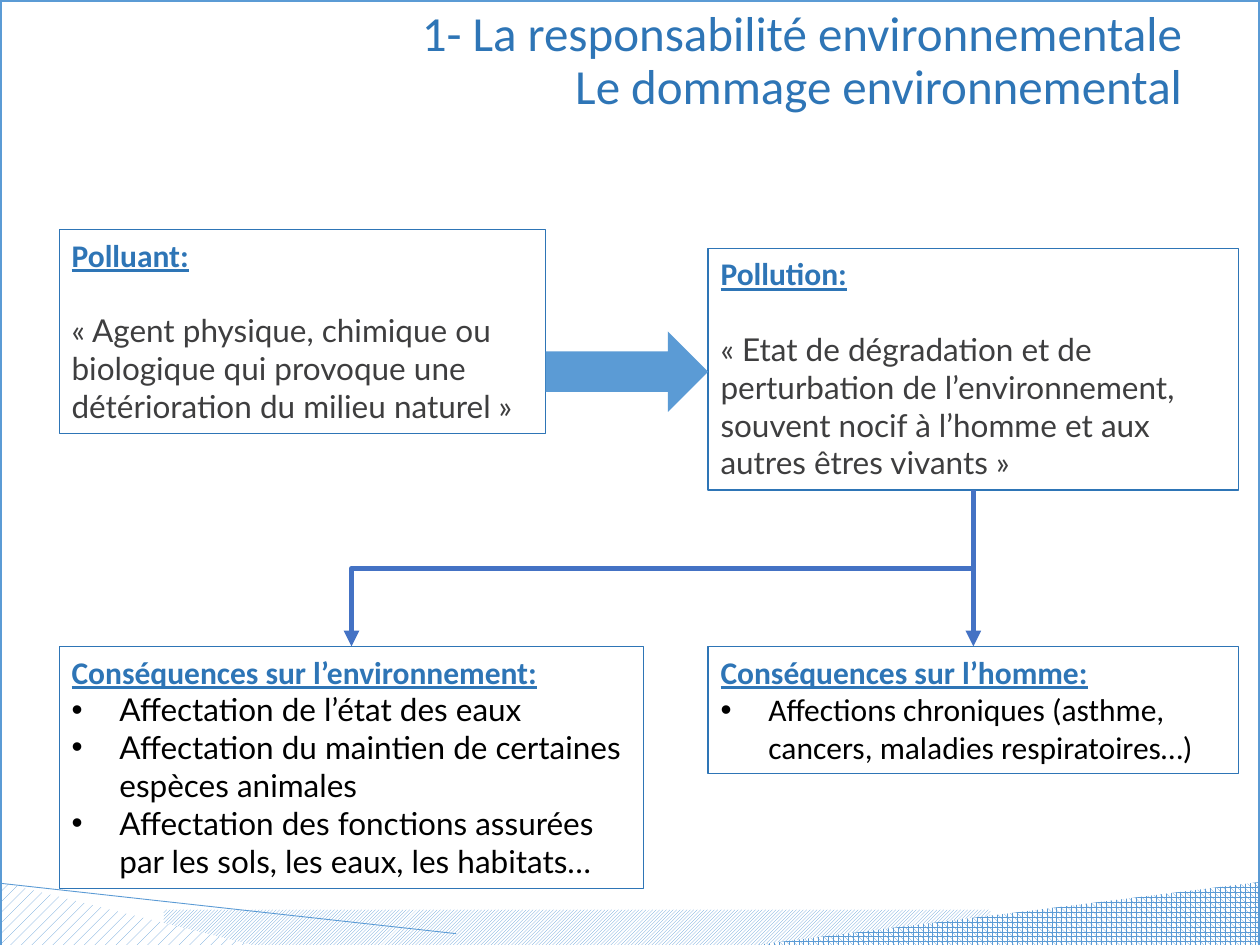
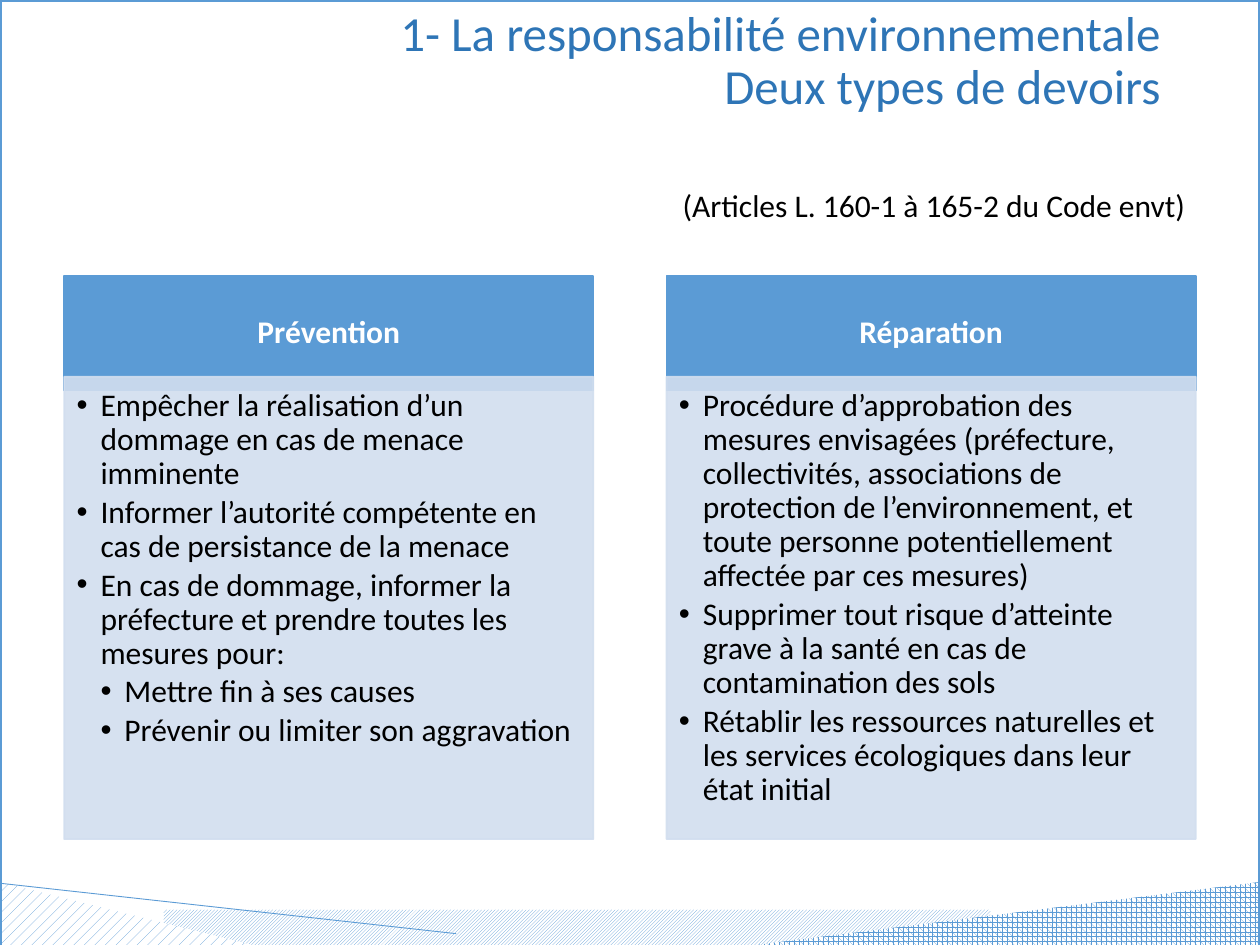
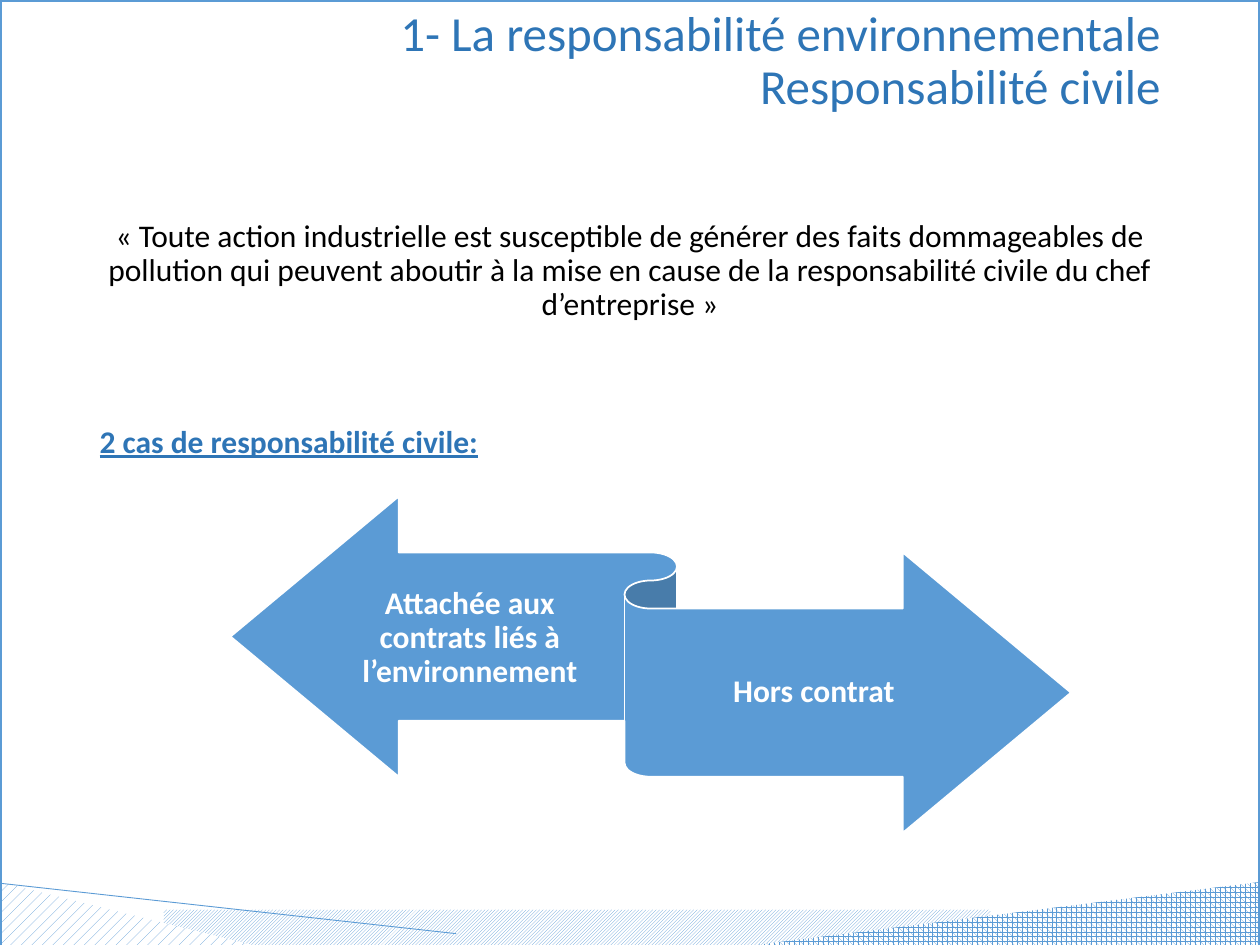
from copy import deepcopy
from lxml.etree import SubElement
from pptx import Presentation
from pptx.dml.color import RGBColor
from pptx.enum.dml import MSO_PATTERN
from pptx.enum.shapes import MSO_CONNECTOR, MSO_SHAPE
from pptx.enum.text import MSO_ANCHOR, MSO_AUTO_SIZE, PP_ALIGN
from pptx.oxml.ns import qn
from pptx.util import Inches, Pt

SKY = RGBColor(0x5B, 0x9B, 0xD5)
BLUE = RGBColor(0x2E, 0x75, 0xB6)
ROYAL = RGBColor(0x44, 0x72, 0xC4)
PALE = RGBColor(0xD2, 0xDE, 0xEF)
GREY = RGBColor(0x3E, 0x3E, 0x3F)
BLACK = RGBColor(0, 0, 0)
WHITE = RGBColor(255, 255, 255)

THEME = "1- La responsabilité environnementale"
HEAD = dict(color=BLUE, bold=True, under=True)
QUOTE = dict(color=GREY, face="Lato", before=21.6)
ITEM = dict(face="Lato", left=0.38, hang=0.38, bullet=True)
DUTY = dict(left=0.19, hang=0.19, bullet=True)
STEP = dict(left=0.38, hang=0.19, bullet=True)

BOXES = {
    "agent": ((0.47, 1.82, 3.86, 1.62), None, [
        ("Polluant:", HEAD),
        ("«\u00a0Agent physique, chimique ou biologique qui provoque une "
         "détérioration du milieu naturel\u00a0»", QUOTE)]),
    "state": ((5.62, 1.97, 4.21, 1.92), None, [
        ("Pollution:", HEAD),
        ("«\u00a0Etat de dégradation et de perturbation de l’environnement, "
         "souvent nocif à l’homme et aux autres êtres vivants »", QUOTE)]),
    "human": ((5.62, 5.13, 4.21, 1.01), None, [
        ("Conséquences sur l’homme:", HEAD),
        ("Affections chroniques (asthme, cancers, maladies respiratoires…)",
         dict(ITEM, face="Calibri"))]),
    "nature": ((0.47, 5.13, 4.64, 1.92), WHITE, [
        ("Conséquences sur l’environnement:", HEAD),
        ("Affectation de l’état des eaux", ITEM),
        ("Affectation du maintien de certaines espèces animales", ITEM),
        ("Affectation des fonctions assurées par les sols, les eaux, "
         "les habitats…", ITEM)]),
}

DUTIES = [
    ("Prévention", [
        ("Empêcher la réalisation d’un dommage en cas de menace imminente", DUTY),
        ("Informer l’autorité compétente en cas de persistance de la menace", DUTY),
        ("En cas de dommage, informer la préfecture et prendre toutes les "
         "mesures pour:", DUTY),
        ("Mettre fin à ses causes", STEP),
        ("Prévenir ou limiter son aggravation", STEP)]),
    ("Réparation", [
        ("Procédure d’approbation des mesures envisagées (préfecture, "
         "collectivités, associations de protection de l’environnement, et toute "
         "personne potentiellement affectée par ces mesures)", DUTY),
        ("Supprimer tout risque d’atteinte grave à la santé en cas de "
         "contamination des sols", DUTY),
        ("Rétablir les ressources naturelles et les services écologiques dans "
         "leur état initial", DUTY)]),
]

CLAIM = [
    ("«\u00a0Toute action industrielle est susceptible de générer des faits "
     "dommageables de pollution qui peuvent aboutir à la mise en cause de la "
     "responsabilité civile du chef d’entreprise\u00a0»",
     dict(align=PP_ALIGN.CENTER)),
    ("2 cas de responsabilité civile:", dict(HEAD, before=59)),
]
CASES = [
    ("Attachée aux contrats liés à l’environnement", (2.63, 4.41, 2.2, 1.31)),
    ("Hors contrat", (5.16, 4.84, 2.6, 1.31)),
]

STRIP = (1.3, 7.22, 6.56, 0.32)
WEDGES = [
    ([(0, 7.01), (4.37, 7.5), (4.28, 7.52), (0, 7.52)], MSO_PATTERN.PERCENT_20),
    ([(2.27, 7.51), (9.99, 7.01), (10, 7.52), (2.19, 7.52)], MSO_PATTERN.SPHERE),
]


def style(par, size=18, face="Calibri", color=BLACK, bold=False, under=False,
          align=PP_ALIGN.LEFT, gap=1.0, before=0, after=0, left=0, hang=0,
          bullet=False):
    par.alignment, par.line_spacing = align, gap
    par.space_before, par.space_after = Pt(before), Pt(after)
    props = par._p.get_or_add_pPr()
    props.set("marL", str(Inches(left)))
    props.set("indent", str(-Inches(hang)))
    if bullet:
        SubElement(props, qn("a:buFont")).set("typeface", "Arial")
        SubElement(props, qn("a:buChar")).set("char", "•")
    else:
        SubElement(props, qn("a:buNone"))
    for run in par.runs:
        font = run.font
        font.size, font.name, font.bold, font.underline = Pt(size), face, bold, under
        font.color.rgb = color
    for stop in par._p.findall(qn("a:br")):
        stop.insert(0, deepcopy(par.runs[0]._r.rPr))


def write(shape, text, anchor=MSO_ANCHOR.TOP, pads=(0.1, 0.05, 0.1, 0.05), **look):
    frame = shape.text_frame
    frame.word_wrap, frame.auto_size = True, MSO_AUTO_SIZE.NONE
    frame.vertical_anchor = anchor
    (frame.margin_left, frame.margin_top,
     frame.margin_right, frame.margin_bottom) = map(Inches, pads)
    parts = [(text, {})] if isinstance(text, str) else text
    for num, (words, own) in enumerate(parts):
        par = frame.add_paragraph() if num else frame.paragraphs[0]
        par.text = words
        style(par, **{**look, **own})


def paint(shape, fill=None, line=None, width=1, alpha=None):
    shape.shadow.inherit = False
    for ink, color in ((shape.fill, fill), (shape.line.fill, line)):
        if color is None:
            ink.background()
        else:
            ink.solid()
            ink.fore_color.rgb = color
    if line is not None:
        shape.line.width = Pt(width)
    if alpha:
        for tone in shape._element.spPr.iter(qn("a:srgbClr")):
            SubElement(tone, qn("a:alpha")).set("val", str(alpha * 1000))
    return shape


def draw(slide, kind, place, **look):
    return paint(slide.shapes.add_shape(kind, *map(Inches, place)), **look)


def label(slide, place, text, **look):
    write(slide.shapes.add_textbox(*map(Inches, place)), text, **look)


def hatch(shape, kind):
    paint(shape)
    fill = shape.fill
    fill.patterned()
    fill.pattern = kind
    fill.fore_color.rgb, fill.back_color.rgb = SKY, WHITE


def link(slide, kind, ends, color, width, head=False):
    line = slide.shapes.add_connector(kind, *map(Inches, ends))
    line.line.color.rgb, line.line.width = color, Pt(width)
    if head:
        SubElement(line.line._get_or_add_ln(), qn("a:tailEnd")).set("type", "triangle")
    SubElement(line._element.spPr, qn("a:effectLst"))
    return line


def put(shape, place):
    shape.left, shape.top, shape.width, shape.height = map(Inches, place)


def start(deck, layout, title, width=8.62, height=1.16):
    slide = deck.slides.add_slide(deck.slide_layouts[layout])
    put(slide.shapes.title, (0.69, 0.02, width, height))
    write(slide.shapes.title, f"{THEME}\v{title}", size=28, color=BLUE,
          align=PP_ALIGN.RIGHT, gap=0.9)
    return slide


def decor(deck, slide):
    shapes = slide.shapes
    first = len(shapes)
    hatch(draw(slide, MSO_SHAPE.RECTANGLE, STRIP), MSO_PATTERN.LIGHT_UPWARD_DIAGONAL)
    for dots, kind in WEDGES:
        pen = shapes.build_freeform(*dots[0], scale=Inches(1))
        pen.add_line_segments(dots[1:])
        hatch(pen.convert_to_shape(), kind)
    link(slide, MSO_CONNECTOR.STRAIGHT, (0, 7.01, 3.62, 7.41), SKY, 0.5)
    draw(slide, MSO_SHAPE.RECTANGLE, (0, 0, 10, 7.52), line=SKY, width=2.25)
    tree = deck.slide_master.shapes.element
    for num, shape in enumerate(list(shapes)[first:]):
        node = shape._element
        node.xpath(".//p:cNvPr")[0].set("id", str(20 + num))
        tree.insert(2 + num, node)


def damage(deck):
    slide = start(deck, 5, "Le dommage environnemental", 8.79, 1.23)
    decor(deck, slide)
    made = {}
    for name, (place, fill, text) in BOXES.items():
        made[name] = draw(slide, MSO_SHAPE.RECTANGLE, place, fill=fill,
                          line=BLUE, width=0.75)
        write(made[name], text)
    draw(slide, MSO_SHAPE.RIGHT_ARROW, (4.33, 2.63, 1.29, 0.64), fill=SKY)

    x, y, w, h = BOXES["state"][0]
    mid, low = x + w / 2, y + h
    x, goal, w, h = BOXES["nature"][0]
    side = x + w / 2
    down = link(slide, MSO_CONNECTOR.STRAIGHT, (mid, low, mid, goal), ROYAL, 3, True)
    down.begin_connect(made["state"], 2)
    down.end_connect(made["human"], 0)

    drop, run = goal - low, mid - side
    cx, cy = (mid + side) / 2, (low + goal) / 2
    bent = link(slide, MSO_CONNECTOR.ELBOW, (cx - drop / 2, cy - run / 2,
                cx + drop / 2, cy + run / 2), ROYAL, 3, True)
    bent._element.spPr.find(qn("a:xfrm")).set("rot", "5400000")


def duties(deck):
    slide = start(deck, 5, "Deux types de devoirs")
    for num, (name, text) in enumerate(DUTIES):
        x = 0.51 + num * 4.78
        top = draw(slide, MSO_SHAPE.RECTANGLE, (x, 2.19, 4.2, 0.91), fill=SKY, line=SKY)
        write(top, name, anchor=MSO_ANCHOR.MIDDLE, pads=(0.14, 0.08, 0.14, 0.08),
              color=WHITE, bold=True, align=PP_ALIGN.CENTER, gap=0.9)
        body = draw(slide, MSO_SHAPE.RECTANGLE, (x, 2.99, 4.2, 3.67), fill=PALE,
                    line=PALE, alpha=90)
        write(body, text, pads=(0.1, 0.1, 0.14, 0.16), gap=0.9, after=2.7)
    label(slide, (5.32, 1.43, 4.68, 0.4), "(Articles L. 160-1 à 165-2 du Code envt)")


def civil(deck):
    slide = start(deck, 1, "Responsabilité civile")
    body = slide.placeholders[1]
    put(body, (0.69, 1.7, 8.62, 4.83))
    write(body, CLAIM, gap=0.9)
    draw(slide, MSO_SHAPE.LEFT_RIGHT_RIBBON, (1.83, 3.94, 6.67, 2.67),
         fill=SKY, line=WHITE)
    for text, place in CASES:
        label(slide, place, text, anchor=MSO_ANCHOR.MIDDLE, pads=(0, 0.07, 0, 0.07),
              color=WHITE, bold=True, align=PP_ALIGN.CENTER, gap=0.9)


def main():
    deck = Presentation()
    deck.slide_width, deck.slide_height = Inches(10), Inches(7.5)
    damage(deck)
    duties(deck)
    civil(deck)
    deck.save("out.pptx")


if __name__ == "__main__":
    main()
